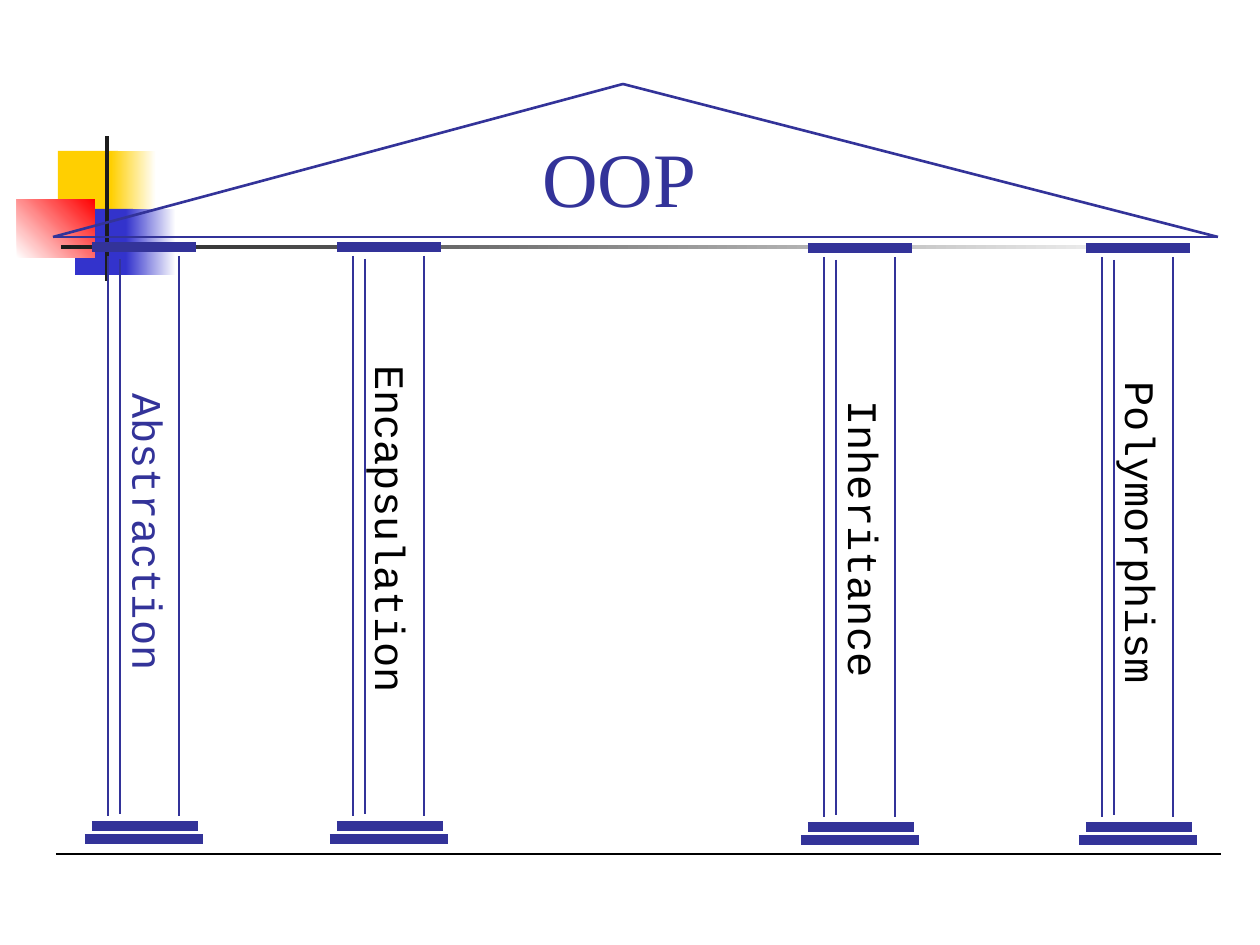
from lxml.etree import SubElement
from pptx import Presentation
from pptx.dml.color import RGBColor
from pptx.enum.shapes import MSO_CONNECTOR, MSO_SHAPE
from pptx.enum.text import MSO_ANCHOR, MSO_AUTO_SIZE, PP_ALIGN
from pptx.oxml.ns import qn
from pptx.util import Emu, Pt

PX = 914400 / 126
NAVY = RGBColor(0x33, 0x33, 0x99)
BLUE = RGBColor(0x33, 0x33, 0xCC)
YELLOW = RGBColor(0xFF, 0xCF, 0x01)
RED = RGBColor(0xFF, 0x00, 0x00)
DARK = RGBColor(0x1C, 0x1C, 0x1C)
BLACK = RGBColor(0x00, 0x00, 0x00)
WHITE = RGBColor(0xFF, 0xFF, 0xFF)

prs = Presentation()
prs.slide_width, prs.slide_height = Emu(round(1260 * PX)), Emu(round(945 * PX))
slide = prs.slides.add_slide(prs.slide_layouts[5])


def write(holder, text, *, size, font, color, anchor, wrap):
    frame = holder.text_frame
    frame.auto_size = MSO_AUTO_SIZE.NONE
    frame.word_wrap = wrap
    frame.vertical_anchor = anchor
    paragraph = frame.paragraphs[0]
    paragraph.alignment = PP_ALIGN.CENTER
    run = paragraph.add_run()
    run.text = text
    run.font.size = Pt(size)
    run.font.name = font
    run.font.color.rgb = color


def draw_line(start, end, color, width):
    ends = [Emu(round(value * PX)) for value in (*start, *end)]
    line = slide.shapes.add_connector(MSO_CONNECTOR.STRAIGHT, *ends)
    line.line.color.rgb = color
    line.line.width = Pt(width)
    SubElement(line._element.spPr, qn("a:effectLst"))


ornaments = [
    (58, 151, 60, 66, YELLOW, None, 0),
    (111, 151, 45, 66, YELLOW, WHITE, 0),
    (75, 209, 58, 66, BLUE, None, 0),
    (126, 209, 50, 66, BLUE, WHITE, 0),
    (17, 199, 78, 59, WHITE, RED, 45),
    (105, 136, 4, 145, DARK, None, 0),
    (61, 245, 1134, 4, DARK, WHITE, 0),
]
for left, top, width, height, color, fade, angle in ornaments:
    box = [Emu(round(value * PX)) for value in (left, top, width, height)]
    ornament = slide.shapes.add_shape(MSO_SHAPE.RECTANGLE, *box)
    ornament.shadow.inherit = False
    ornament.line.fill.background()
    if fade is None:
        ornament.fill.solid()
        ornament.fill.fore_color.rgb = color
    else:
        ornament.fill.gradient()
        ornament.fill.gradient_angle = angle
        for stop, shade in zip(ornament.fill.gradient_stops, (color, fade)):
            stop.color.rgb = shade

apex, left_eave, right_eave = (623, 84), (53, 237), (1218, 237)
for start, end in ((left_eave, apex), (right_eave, apex), (left_eave, right_eave)):
    draw_line(start, end, NAVY, 1.5)

column_parts = [
    (0, 826, 106, 826, 6),
    (0, 247, 104, 247, 6),
    (87, 256, 87, 816, 0.75),
    (16, 256, 16, 816, 0.75),
    (-7, 839, 111, 839, 6),
    (28, 259, 28, 814, 0.75),
]
columns = [
    ("Abstraction", 92, 0, 149, 532, 472, NAVY),
    ("Encapsulation", 337, 0, 392, 529, 540, BLACK),
    ("Inheritance", 808, 1, 865, 539, 472, BLACK),
    ("Polymorphism", 1086, 1, 1142, 533, 512, BLACK),
]
label_height = 26
for name, left, drop, center_x, center_y, length, color in columns:
    for x1, y1, x2, y2, width in column_parts:
        draw_line((left + x1, drop + y1), (left + x2, drop + y2), NAVY, width)
    box = (center_x - length // 2, center_y - label_height // 2, length, label_height)
    label = slide.shapes.add_textbox(*[Emu(round(value * PX)) for value in box])
    label.rotation = 90
    write(label, name, size=24, font="Courier New", color=color,
          anchor=MSO_ANCHOR.MIDDLE, wrap=False)

draw_line((56, 854), (1221, 854), BLACK, 1.5)

title = slide.shapes.title
title.left, title.top, title.width, title.height = [
    Emu(round(value * PX)) for value in (465, 124, 309, 106)]
write(title, "OOP", size=44, font="Times New Roman", color=NAVY,
      anchor=MSO_ANCHOR.TOP, wrap=True)

prs.save("out.pptx")
